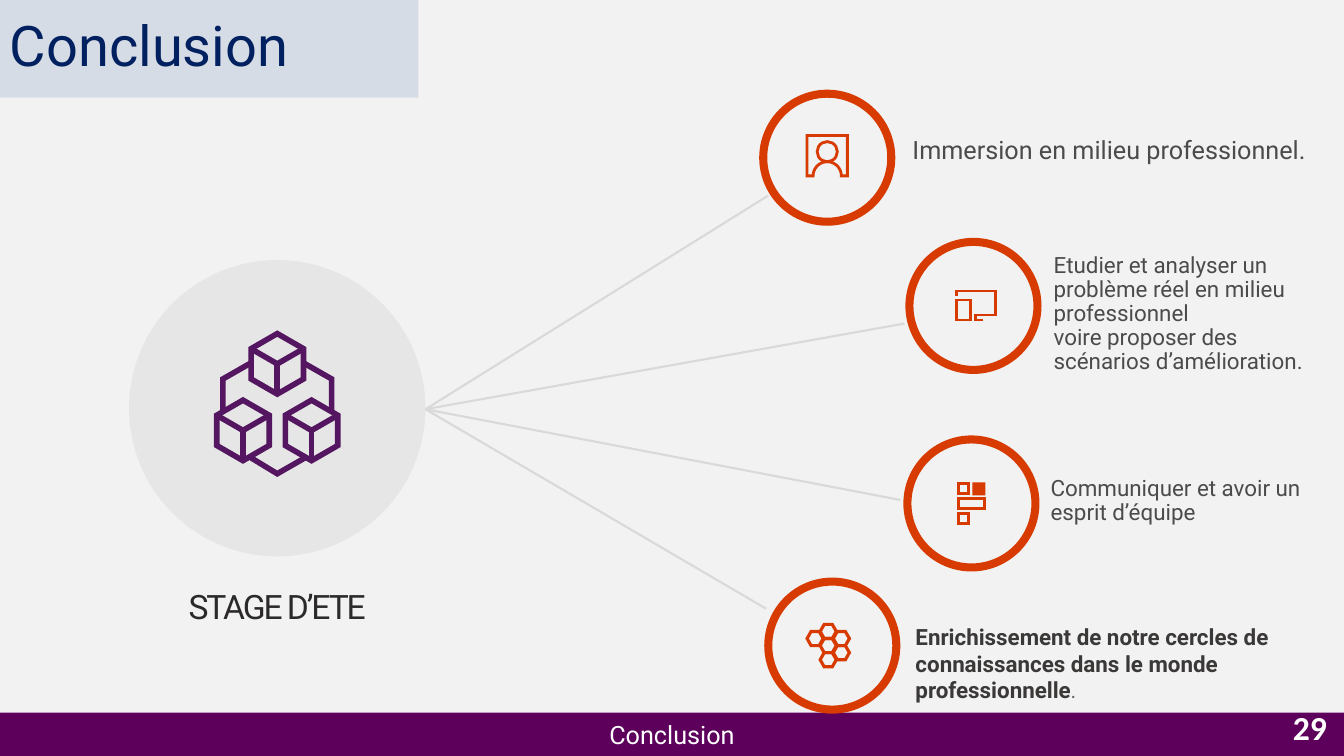
import math

from lxml import etree
from pptx import Presentation, util as u
from pptx.dml.color import RGBColor
from pptx.enum import shapes, text
from pptx.oxml import ns

Inches, Pt = u.Inches, u.Pt
COLORS = {
    "background": "F2F2F2", "footer": "5C005C", "title_fill": "D6DCE5",
    "title": "002060", "accent": "D83B01", "disc": "E6E6E6", "cube": "541660",
    "ray": "D9D9D9", "body": "4B4B4B", "strong": "3B3838", "dot": "626262",
    "label": "2C292A", "white": "FFFFFF",
}
RING = 1.35
RING_LINE = 0.08


def rgb(name):
    return RGBColor.from_string(COLORS[name])


def paint(shape, fill=None, line=None, weight=0):
    shape.shadow.inherit = False
    if fill:
        shape.fill.solid()
        shape.fill.fore_color.rgb = rgb(fill)
    else:
        shape.fill.background()
    if line:
        shape.line.color.rgb = rgb(line)
        shape.line.width = Pt(weight)
        outline = shape.line._get_or_add_ln()
        etree.SubElement(outline, ns.qn("a:miter"), lim="800000")
    else:
        shape.line.fill.background()
    return shape


def add_box(slide, kind, left, top, width, height, **style):
    shape = slide.shapes.add_shape(
        kind, Inches(left), Inches(top), Inches(width), Inches(height))
    return paint(shape, **style)


def add_path(slide, points, closed=False, **style):
    points = [(Inches(x), Inches(y)) for x, y in points]
    builder = slide.shapes.build_freeform(*points[0])
    builder.add_line_segments(points[1:], close=closed)
    return paint(builder.convert_to_shape(), **style)


def add_line(slide, start, end, color, weight):
    line = slide.shapes.add_connector(
        shapes.MSO_CONNECTOR.STRAIGHT, *(Inches(v) for v in start + end))
    line.line.color.rgb = rgb(color)
    line.line.width = Pt(weight)
    etree.SubElement(line._element.spPr, ns.qn("a:effectLst"))


def style_run(run, size, color, font="Roboto", bold=False):
    run.font.size, run.font.name, run.font.bold = Pt(size), font, bold
    run.font.color.rgb = rgb(color)


def write(shape, content, size, color, align=text.PP_ALIGN.LEFT, spacing=1.0,
          anchor=text.MSO_ANCHOR.TOP, inset=0.1, **font):
    frame = shape.text_frame
    frame.word_wrap = True
    frame.vertical_anchor = anchor
    frame.margin_left = Inches(inset)
    frame.text = content
    for paragraph in frame.paragraphs:
        paragraph.alignment = align
        paragraph.line_spacing = spacing
        for run in paragraph.runs:
            style_run(run, size, color, **font)
    return frame


def add_text(slide, box, *args, **options):
    shape = slide.shapes.add_textbox(*(Inches(v) for v in box))
    return write(shape, *args, **options)


def add_title(slide, left, top, width, height):
    bar = add_box(slide, shapes.MSO_SHAPE.RECTANGLE, left, top, width, height,
                  fill="title_fill")
    write(bar, "Conclusion", 40, "title", spacing=0.9, anchor=text.MSO_ANCHOR.MIDDLE)


def add_footer(slide, left, top, width, height):
    bar = add_box(slide, shapes.MSO_SHAPE.RECTANGLE, left, top, width, height,
                  fill="footer")
    write(bar, "Conclusion", 18, "white", align=text.PP_ALIGN.CENTER,
          anchor=text.MSO_ANCHOR.MIDDLE)
    add_text(slide, (left + 10.26, top - 0.06, 3, 0.4), "29", 24, "white",
             align=text.PP_ALIGN.RIGHT, anchor=text.MSO_ANCHOR.MIDDLE,
             font="Calibri", bold=True)


def add_cube(slide, x, top):
    """Draw a cube whose upper corner is at (x, top)."""
    half, step = 0.26, 0.15
    outline = [(0, 0), (half, step), (half, 3 * step), (0, 4 * step),
               (-half, 3 * step), (-half, step)]
    edges = [(half, step), (0, 2 * step), (-half, step)]
    for points, closed in ((outline, True), (edges, False)):
        add_path(slide, [(x + dx, top + dy) for dx, dy in points], closed,
                 fill="disc", line="cube", weight=4)
    add_line(slide, (x, top + 2 * step), (x, top + 4 * step), "cube", 4)


def add_internship(slide, left, top, size):
    """Draw the disc with its linked cubes and the caption below."""
    add_box(slide, shapes.MSO_SHAPE.OVAL, left, top, size, size, fill="disc")
    x, y = left + size / 2, top + size / 2
    for dx, dy in ((-0.34, -0.08), (0.34, -0.08), (0, -0.74)):
        add_cube(slide, x + dx, y + dy)
    links = (
        [(-0.28, 0.48), (0, 0.65), (0.28, 0.49)],
        [(0.26, -0.45), (0.54, -0.29), (0.54, 0.04)],
        [(-0.26, -0.45), (-0.54, -0.29), (-0.54, 0.04)],
    )
    for link in links:
        add_path(slide, [(x + dx, y + dy) for dx, dy in link],
                 line="cube", weight=4)
    frame = add_text(slide, (x - 1.4, top + size + 0.19, 2.8, 0.7), "STAGE D’ETE",
                     24, "label", align=text.PP_ALIGN.CENTER)
    frame.margin_top = Inches(0.1)
    frame.paragraphs[0].runs[0]._r.get_or_add_rPr().set("spc", "-150")


def draw_person(slide, x, y):
    angles = [math.radians(a) for a in range(0, 181, 10)]
    arch = [(x + 0.14 * math.cos(a), y + 0.18 - 0.14 * math.sin(a)) for a in angles]
    frame = [(x - 0.2, y + 0.18), (x - 0.2, y - 0.22),
             (x + 0.2, y - 0.22), (x + 0.2, y + 0.18)]
    add_path(slide, arch + frame, True, line="accent", weight=2)
    add_box(slide, shapes.MSO_SHAPE.OVAL, x - 0.1, y - 0.16, 0.2, 0.2,
            line="accent", weight=2)


def draw_devices(slide, x, y):
    add_box(slide, shapes.MSO_SHAPE.RECTANGLE, x - 0.17, y - 0.06, 0.14, 0.2,
            line="accent", weight=1.8)
    screen = [(-0.17, -0.1), (-0.17, -0.15), (0.22, -0.15), (0.22, 0.09),
              (0.02, 0.09), (0.02, 0.14), (0.09, 0.14)]
    add_path(slide, [(x + dx, y + dy) for dx, dy in screen],
             line="accent", weight=1.8)


def draw_tiles(slide, x, y):
    for dx, dy, width in ((-0.13, -0.2, 0.1), (-0.13, -0.05, 0.26), (-0.13, 0.1, 0.1)):
        add_box(slide, shapes.MSO_SHAPE.RECTANGLE, x + dx, y + dy, width, 0.1,
                line="accent", weight=1.8)
    add_box(slide, shapes.MSO_SHAPE.RECTANGLE, x + 0.01, y - 0.21, 0.13, 0.13,
            fill="accent")


def draw_honeycomb(slide, x, y):
    corners = [(-0.04, 0.07), (-0.08, 0), (-0.04, -0.07),
               (0.04, -0.07), (0.08, 0), (0.04, 0.07)]
    for column, row in ((0, 0), (1, -1), (1, 1), (-1, -1), (0, 2), (0, -2)):
        cx, cy = x - 0.04 + 0.13 * column, y + 0.07 * row
        add_path(slide, [(cx + dx, cy + dy) for dx, dy in corners], True,
                 line="accent", weight=2.25)


def add_benefit(slide, left, top, draw_icon, box, content, **style):
    """Draw a ring with its icon, and the text in its own box."""
    inner = RING - RING_LINE
    add_box(slide, shapes.MSO_SHAPE.OVAL, left + RING_LINE / 2, top + RING_LINE / 2,
            inner, inner, fill="background", line="accent", weight=RING_LINE * 72)
    draw_icon(slide, left + RING / 2, top + RING / 2)
    return add_text(slide, box, content, inset=0.2, **style)


def build_conclusion(presentation):
    slide = presentation.slides.add_slide(presentation.slide_layouts[6])
    slide.background.fill.solid()
    slide.background.fill.fore_color.rgb = rgb("background")
    add_footer(slide, 0, 7.07, 13.33, 0.43)
    add_title(slide, 0, -0.01, 4.15, 0.98)
    add_internship(slide, 1.28, 2.58, 2.94)
    for end in ((7.62, 1.94), (8.97, 3.21), (8.93, 4.96), (7.6, 6.04)):
        add_line(slide, (4.22, 4.06), end, "ray", 1.5)

    body = {"size": 16, "color": "body", "spacing": 0.9}
    add_benefit(slide, 7.53, 0.89, draw_person, (8.85, 1.32, 4.45, 0.37),
                "Immersion en milieu professionnel.", **{**body, "size": 18})
    add_benefit(slide, 8.98, 2.36, draw_devices, (10.25, 2.47, 3.02, 1.31),
                "Etudier et analyser un problème réel en milieu professionnel\n"
                "voire proposer des scénarios d’amélioration.", **body)
    add_benefit(slide, 8.96, 4.32, draw_tiles, (10.22, 4.68, 2.99, 0.59),
                "Communiquer et avoir un esprit d’équipe", **body)
    frame = add_benefit(
        slide, 7.58, 5.73, draw_honeycomb, (8.88, 6.13, 4.39, 0.91),
        "Enrichissement de notre cercles de connaissances dans le monde professionnelle",
        size=16, color="strong", bold=True)
    period = frame.paragraphs[0].add_run()
    period.text = "."
    style_run(period, 14, "dot", font="Calibri")


def main():
    presentation = Presentation()
    presentation.slide_width = Inches(13.33)
    presentation.slide_height = Inches(7.5)
    build_conclusion(presentation)
    presentation.save("out.pptx")


if __name__ == "__main__":
    main()
